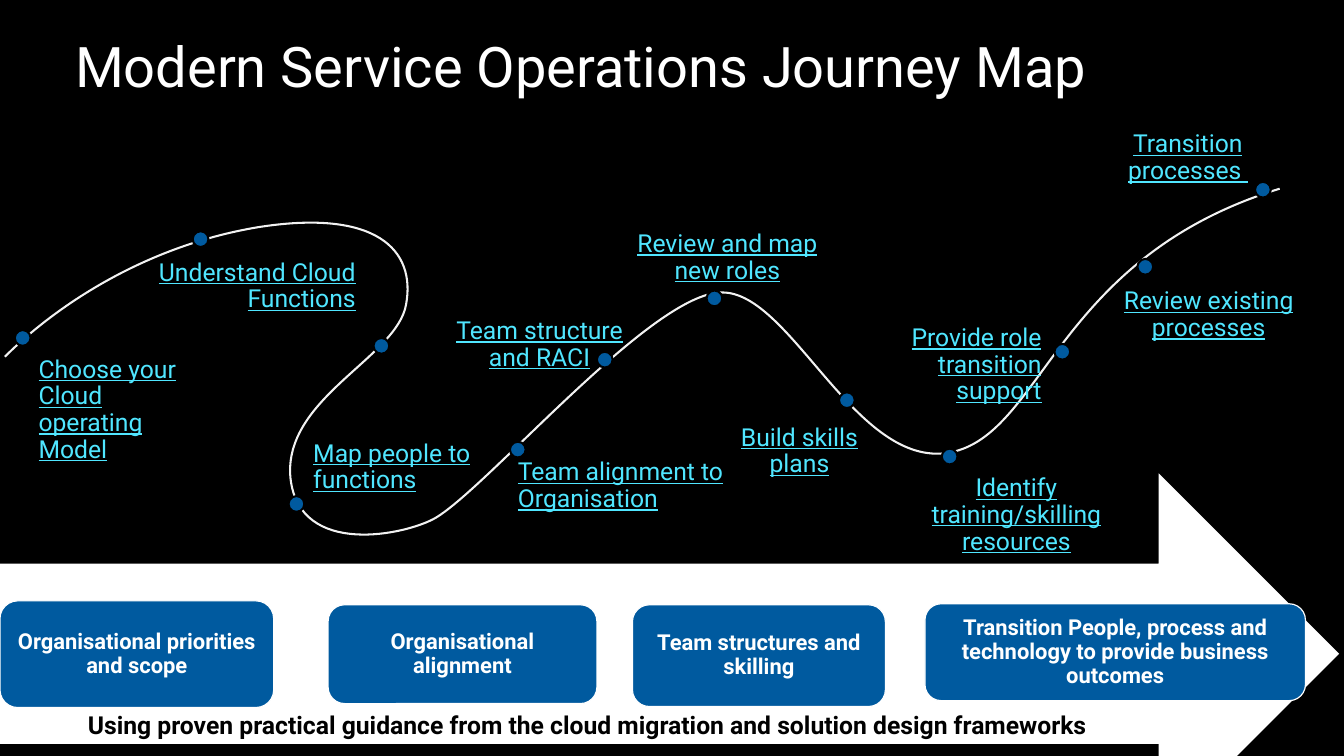
import pptx
import pptx.dml.color
import pptx.enum.shapes
import pptx.enum.text
import pptx.oxml.ns
import pptx.util

PX = 9144  # EMU per px, 100 px to the inch
SHAPE = pptx.enum.shapes.MSO_SHAPE
ALIGN = pptx.enum.text.PP_ALIGN
ANCHOR = pptx.enum.text.MSO_ANCHOR
THEME = {
    "back": "000000",
    "arrow": "FFFFFF",
    "fill": "005A9F",
    "curve": "F2F2F2",
    "title": {"color": "FFFFFF", "size": 40.8, "bold": False, "space": 0.9},
    "phase": {"color": "FFFFFF", "size": 16, "bold": True, "space": 0.9},
    "step": {"color": "50E6FF", "size": 18, "underline": True, "space": 0.9},
    "foot": {"color": "000000", "size": 18, "bold": True, "space": 1.0},
}


def write(shape, text, role, align=ALIGN.LEFT, inset=(0, 0), **extra):
    """Put text in a shape, styled by its theme role."""
    look = dict(THEME[role])
    color, space = look.pop("color"), look.pop("space")
    look["size"] = pptx.util.Pt(look["size"])
    side, top = (gap * PX for gap in inset)
    frame = shape.text_frame
    form = {"word_wrap": True, "auto_size": pptx.enum.text.MSO_AUTO_SIZE.NONE,
            "vertical_anchor": ANCHOR.TOP, "margin_left": side,
            "margin_right": side, "margin_top": top, "margin_bottom": top}
    frame.text = text
    para = frame.paragraphs[0]
    font = para.runs[0].font
    for item, values in (
        (frame, {**form, **extra}),
        (para, {"alignment": align, "line_spacing": space,
                "space_before": pptx.util.Pt(0)}),
        (font, {"name": "Roboto", **look}),
    ):
        for name, value in values.items():
            setattr(item, name, value)
    font.color.rgb = pptx.dml.color.RGBColor.from_string(color)


def paint(shape, fill=None, line=None, width=1.5):
    shape.shadow.inherit = False
    for part, color in ((shape.fill, fill), (shape.line.fill, line)):
        if color:
            part.solid()
            part.fore_color.rgb = pptx.dml.color.RGBColor.from_string(color)
        else:
            part.background()
    if line:
        shape.line.width = pptx.util.Pt(width)


deck = pptx.Presentation()
deck.slide_width, deck.slide_height = 1360 * PX, 765 * PX
slide = deck.slides.add_slide(deck.slide_layouts[5])
slide.background.fill.solid()
slide.background.fill.fore_color.rgb = pptx.dml.color.RGBColor.from_string(
    THEME["back"])
shapes = slide.shapes

title = shapes.title
title.left, title.top, title.width, title.height = (
    n * PX for n in (60, 30, 1257, 82))
write(title, "Modern Service Operations Journey Map", "title", inset=(16, 10))

# Arrow with the four phases
arrow = shapes.add_shape(
    SHAPE.RIGHT_ARROW, *(n * PX for n in (0, 479, 1355, 365)))
paint(arrow, THEME["arrow"])
phases = [
    ("Organisational priorities and scope", 0, 608, 277, 108),
    ("Organisational alignment", 332, 612, 272, 100),
    ("Team structures and skilling", 640, 612, 256, 103),
    ("Transition People, process and technology to provide business outcomes",
     936, 611, 385, 98),
]
for text, *box in phases:
    phase = shapes.add_shape(SHAPE.ROUNDED_RECTANGLE, *(n * PX for n in box))
    paint(phase, THEME["fill"], THEME["arrow"], 0.85)
    write(phase, text, "phase", ALIGN.CENTER, (7, 7),
          vertical_anchor=ANCHOR.MIDDLE)

# Journey curve: after the start, every three points form one Bezier segment
points = [
    (51, 315), (141, 250), (261, 230),
    (381, 211), (421, 253), (411, 308),
    (402, 362), (286, 403), (294, 484),
    (303, 565), (412, 541), (441, 524),
    (496, 491), (661, 295), (731, 296),
    (801, 296), (866, 475), (961, 458),
    (1056, 440), (1067, 261), (1295, 191),
]
pen = shapes.build_freeform(5, 361, scale=PX)
pen.add_line_segments(points, close=False)
curve = pen.convert_to_shape()
paint(curve, line=THEME["curve"])
qn = pptx.oxml.ns.qn
lines = list(curve._element.iter(qn("a:lnTo")))
for i in range(0, len(lines), 3):
    first, *rest = lines[i:i + 3]
    first.tag = qn("a:cubicBezTo")
    for line in rest:
        first.append(line[0])
        line.getparent().remove(line)

# Step labels
steps = [
    ("Choose your Cloud operating Model", ALIGN.LEFT, 39, 361, 145, 109),
    ("Understand Cloud Functions", ALIGN.RIGHT, 136, 263, 224, 55),
    ("Map people to functions", ALIGN.LEFT, 317, 446, 166, 55),
    ("Team alignment to Organisation", ALIGN.LEFT, 524, 465, 222, 55),
    ("Team structure and RACI", ALIGN.CENTER, 451, 322, 190, 55),
    ("Review and map new roles", ALIGN.CENTER, 632, 234, 208, 55),
    ("Build skills plans", ALIGN.CENTER, 743, 430, 132, 55),
    ("Identify training/skilling resources", ALIGN.CENTER, 920, 481, 217, 82),
    ("Provide role transition support", ALIGN.RIGHT, 857, 329, 197, 56),
    ("Review existing processes", ALIGN.CENTER, 1124, 292, 198, 55),
    ("Transition processes ", ALIGN.CENTER, 1118, 133, 168, 55),
]
for text, align, *box in steps:
    label = shapes.add_textbox(*(n * PX for n in box))
    write(label, text, "step", align)

# Dots along the curve
dots = [
    (15, 334), (195, 234), (378, 342), (292, 502), (516, 447), (604, 356),
    (715, 294), (849, 397), (953, 454), (1067, 348), (1151, 262), (1270, 184),
]
for left, top in dots:
    dot = shapes.add_shape(SHAPE.OVAL, *(n * PX for n in (left, top, 16, 16)))
    paint(dot, THEME["fill"], THEME["back"])

foot = shapes.add_textbox(*(n * PX for n in (89, 718, 1093, 30)))
write(foot, "Using proven practical guidance from the cloud migration and "
      "solution design frameworks", "foot", word_wrap=False)

deck.save("out.pptx")
